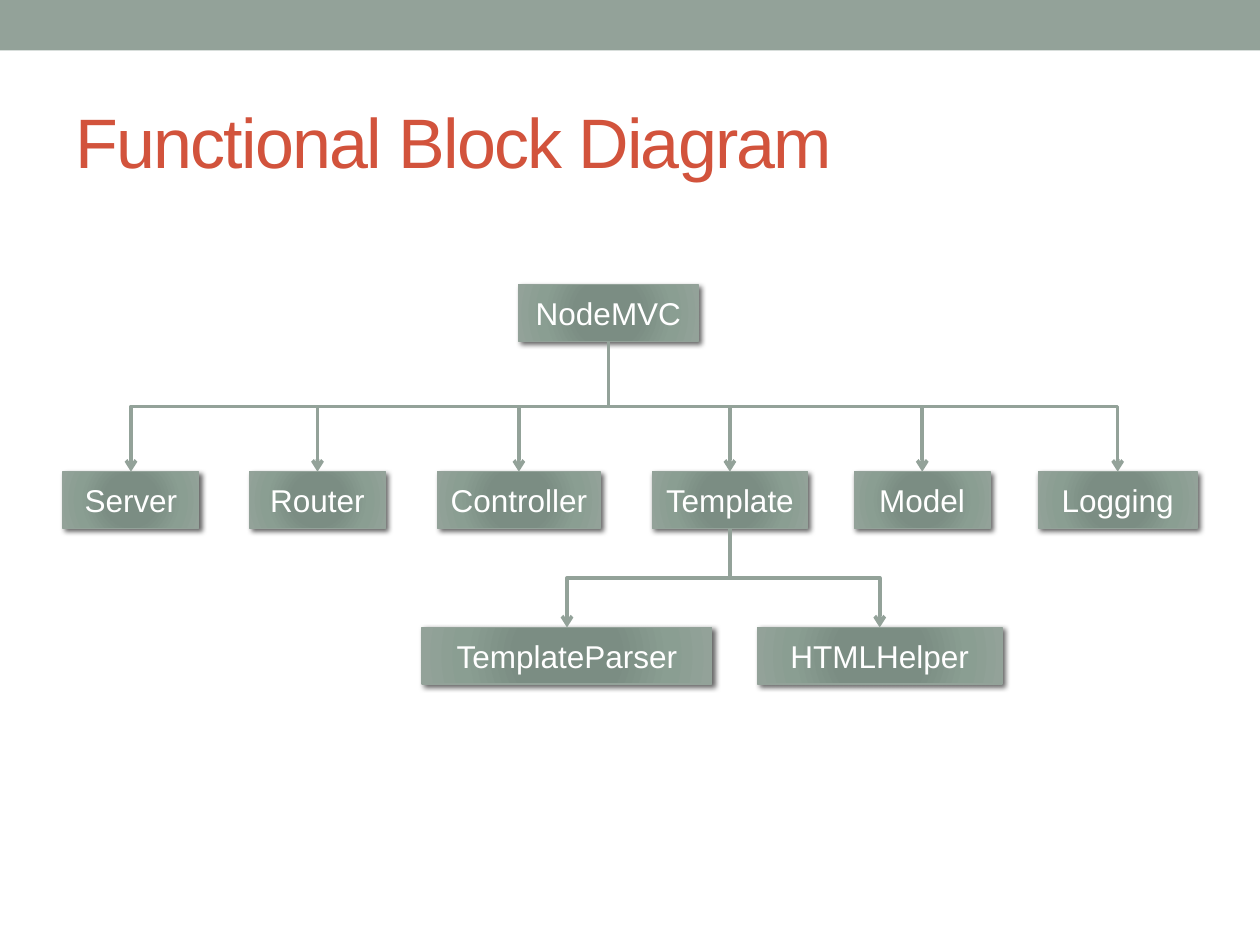
"""Build a slide with the functional block diagram of NodeMVC."""
import pptx
import pptx.dml.color
import pptx.enum.shapes
import pptx.enum.text
import pptx.oxml
import pptx.oxml.ns
import pptx.util

Cm = pptx.util.Cm
Pt = pptx.util.Pt
COLORS = {"sage": "93A299", "title": "D2533C", "text": "FFFFFF", "shadow": "000000"}
GRADIENT = [(0, "7B8E82"), (34, "7B8D83"), (70, "8A9E92"), (100, COLORS["sage"])]
BLOCK_HEIGHT = 1.14
BLOCKS = [
    ("NodeMVC", 10.46, 5.74, 3.61),
    ("Server", 1.27, 9.51, 2.74),
    ("Router", 5.03, 9.51, 2.74),
    ("Controller", 8.82, 9.51, 3.28),
    ("Template", 13.15, 9.51, 3.13),
    ("Model", 17.22, 9.51, 2.74),
    ("Logging", 20.93, 9.51, 3.2),
    ("TemplateParser", 8.51, 12.65, 5.84),
    ("HTMLHelper", 15.27, 12.65, 4.93),
]
CHILDREN = {
    "NodeMVC": ["Server", "Router", "Controller", "Template", "Model", "Logging"],
    "Template": ["TemplateParser", "HTMLHelper"],
}


def drawing_xml(tag, attributes="", content=""):
    namespace = pptx.oxml.ns.nsdecls("a")
    return pptx.oxml.parse_xml(f"<a:{tag} {namespace} {attributes}>{content}</a:{tag}>")


def write_text(shape, text, size, color):
    shape.text_frame.text = text
    shape.text_frame.vertical_anchor = pptx.enum.text.MSO_ANCHOR.MIDDLE
    font = shape.text_frame.paragraphs[0].runs[0].font
    font.name = "Arial"
    font.size = Pt(size)
    font.color.rgb = pptx.dml.color.RGBColor.from_string(COLORS[color])
    return shape.text_frame.paragraphs[0]


deck = pptx.Presentation()
deck.slide_width = Cm(25.4)
deck.slide_height = Cm(19.05)
page = deck.slides.add_slide(deck.slide_layouts[6])
sage = pptx.dml.color.RGBColor.from_string(COLORS["sage"])
rectangle = pptx.enum.shapes.MSO_SHAPE.RECTANGLE

band = page.shapes.add_shape(rectangle, 0, 0, deck.slide_width, Cm(1.02))
band.shadow.inherit = False
band.fill.solid()
band.fill.fore_color.rgb = sage
band.line.fill.background()

title = page.shapes.add_textbox(Cm(1.27), Cm(1.47), Cm(22.86), Cm(2.74))
title.text_frame.word_wrap = True
para = write_text(title, "Functional Block Diagram", 40, "title")
para.runs[0].font._element.set("spc", "-100")

stops = "".join(
    f'<a:gs pos="{position * 1000}"><a:srgbClr val="{color}"/></a:gs>'
    for position, color in GRADIENT
)
gradient = (
    f'<a:gsLst>{stops}</a:gsLst><a:path path="circle">'
    '<a:fillToRect l="100000" t="100000" r="100000" b="100000"/></a:path>'
)
shadow_color = f'<a:srgbClr val="{COLORS["shadow"]}"><a:alpha val="60000"/></a:srgbClr>'
shadow = (
    '<a:outerShdw blurRad="38100" dist="25400" dir="2700000" rotWithShape="0">'
    f"{shadow_color}</a:outerShdw>"
)
blocks = {}
for name, left, top, width in BLOCKS:
    block = page.shapes.add_shape(rectangle, Cm(left), Cm(top), Cm(width), Cm(BLOCK_HEIGHT))
    properties = block._element.spPr
    properties.insert(2, drawing_xml("gradFill", 'rotWithShape="1"', gradient))
    block.line.color.rgb = sage
    block.line.width = Pt(0.75)
    properties.append(drawing_xml("effectLst", content=shadow))
    block.text_frame.word_wrap = False
    para = write_text(block, name, 18, "text")
    para.alignment = pptx.enum.text.PP_ALIGN.CENTER
    blocks[name] = block

for parent, children in CHILDREN.items():
    for child in children:
        arrow = page.shapes.add_connector(pptx.enum.shapes.MSO_CONNECTOR.ELBOW, 0, 0, 0, 0)
        arrow.begin_connect(blocks[parent], 2)
        arrow.end_connect(blocks[child], 0)
        across = arrow.end_x - arrow.begin_x
        down = arrow.end_y - arrow.begin_y
        center_x = (arrow.begin_x + arrow.end_x) // 2
        center_y = (arrow.begin_y + arrow.end_y) // 2
        arrow.width, arrow.height = down, abs(across)
        arrow.left = center_x - arrow.width // 2
        arrow.top = center_y - arrow.height // 2
        properties = arrow._element.spPr
        properties.xfrm.set("rot", "16200000" if across > 0 else "5400000")
        properties.xfrm.set("flipH", "1" if across > 0 else "0")
        arrow.line.color.rgb = sage
        arrow.line.width = Pt(2.08)
        arrow.line._get_or_add_ln().append(drawing_xml("tailEnd", 'type="arrow"'))
        properties.append(drawing_xml("effectLst"))

deck.save("out.pptx")
